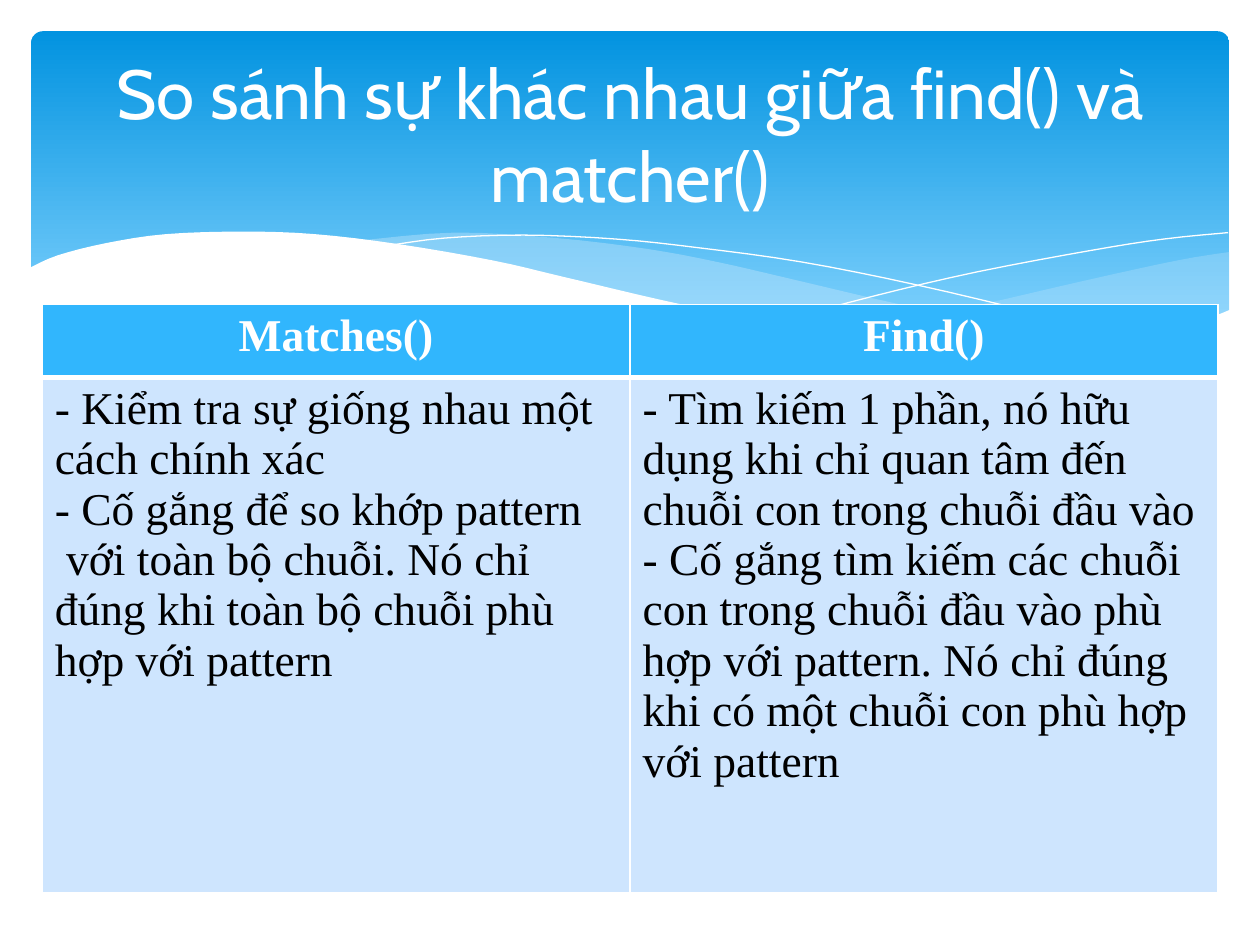
from dataclasses import dataclass

from lxml import etree
from pptx import Presentation
from pptx.dml.color import RGBColor
from pptx.enum.shapes import MSO_SHAPE
from pptx.enum.text import MSO_ANCHOR, MSO_AUTO_SIZE, PP_ALIGN
from pptx.oxml.ns import qn
from pptx.util import Cm, Pt

ROUNDED = MSO_SHAPE.ROUNDED_RECTANGLE
CENTER = PP_ALIGN.CENTER
LEFT = PP_ALIGN.LEFT
MIDDLE = MSO_ANCHOR.MIDDLE
NO_AUTOFIT = MSO_AUTO_SIZE.NONE
TITLE_ONLY = 5


@dataclass(frozen=True)
class Theme:
    title_font: str = "Cabin"
    table_font: str = "Times New Roman"
    title_size: float = 39.6
    table_size: float = 26
    white: str = "FFFFFF"
    black: str = "000000"
    banner_top: str = "0293E0"
    banner_bottom: str = "83D3FE"
    wave: str = "C6E7FC"
    header: str = "31B6FD"
    body: str = "CEE5FE"


@dataclass(frozen=True)
class Box:
    left: float
    top: float
    width: float
    height: float

    def lengths(self):
        return Cm(self.left), Cm(self.top), Cm(self.width), Cm(self.height)


THEME = Theme()

RIGHT_WAVE = [
    [(24.16, 4.45), (23.11, 4.62), (21.23, 5.03), (19.15, 5.51), (17.3, 5.89), (16.15, 6.1)],
    [(16.15, 6.1), (17.27, 6.25), (18.59, 6.38), (20.04, 6.43), (21.29, 6.35),
     (22.35, 6.2), (23.29, 5.94), (24.16, 5.64)],
]
MIDDLE_WAVE = [
    [(22.05, 6.3), (20.62, 6.1), (19.05, 5.82), (17.3, 5.46), (15.34, 5), (13.82, 4.65),
     (12.42, 4.39), (10.59, 4.17), (8.53, 4.06), (6.63, 4.22)],
    [(6.63, 4.22), (8.56, 4.52), (10.77, 5), (12.83, 5.46), (14.63, 5.84), (16.64, 6.17),
     (18.36, 6.38), (19.86, 6.43), (21.13, 6.4), (22.05, 6.3)],
]
FALLING_LINE = [
    [(7.21, 4.32), (8.33, 4.17), (9.93, 4.11), (11.79, 4.19), (13.49, 4.37), (15.52, 4.65),
     (17.83, 5.11), (20.47, 5.74), (22.4, 6.27)],
]
RISING_LINE = [
    [(14.94, 5.89), (17.02, 5.33), (19.08, 4.85), (21.36, 4.42), (22.83, 4.19), (24.13, 4.06)],
]
FRONT_WAVE = [
    [(-0.05, 4.78), (0.53, 4.52), (1.52, 4.27), (2.72, 4.09), (4.27, 4.04), (5.71, 4.09),
     (7.39, 4.29), (9.3, 4.62), (10.72, 4.95), (12.8, 5.44), (14.68, 5.82), (16.84, 6.17),
     (18.69, 6.35), (20.27, 6.4), (21.59, 6.3), (22.73, 6.1), (23.72, 5.79), (24.18, 5.61)],
    [(24.18, 7.72), (-0.05, 7.72)],
]

TITLE = "So sánh sự khác nhau giữa find() và matcher()"
ROWS = [
    [["Matches()"], ["Find()"]],
    [
        [
            "- Kiểm tra sự giống nhau một cách chính xác",
            "- Cố gắng để so khớp pattern",
            " với toàn bộ chuỗi. Nó chỉ đúng khi toàn bộ chuỗi phù hợp với pattern",
        ],
        [
            "- Tìm kiếm 1 phần, nó hữu dụng khi chỉ quan tâm đến chuỗi con trong chuỗi đầu vào",
            "- Cố gắng tìm kiếm các chuỗi con trong chuỗi đầu vào phù hợp với pattern. "
            "Nó chỉ đúng khi có một chuỗi con phù hợp với pattern",
        ],
    ],
]


def color(value):
    return RGBColor.from_string(value)


def smooth(points, steps=4):
    if len(points) < 3:
        return points
    padded = [points[0], *points, points[-1]]
    curve = []
    for a, b, c, d in zip(padded, padded[1:], padded[2:], padded[3:]):
        for t in (step / steps for step in range(steps)):
            curve.append(tuple(
                (2 * q + (r - p) * t + (2 * p - 5 * q + 4 * r - s) * t**2
                 + (3 * q - p - 3 * r + s) * t**3) / 2
                for p, q, r, s in zip(a, b, c, d)
            ))
    return curve + [points[-1]]


def add_curve(slide, box, edges, fill=None, opacity=100):
    points = [
        (Cm(box.left + x), Cm(box.top + y)) for edge in edges for x, y in smooth(edge)
    ]
    builder = slide.shapes.build_freeform(*points[0])
    builder.add_line_segments(points[1:], close=fill is not None)
    shape = builder.convert_to_shape()
    shape.shadow.inherit = False
    if fill is None:
        shape.fill.background()
        shape.line.color.rgb = color(THEME.white)
        shape.line.width = Pt(0)
        return
    shape.line.fill.background()
    shape.fill.solid()
    shape.fill.fore_color.rgb = color(fill)
    if opacity < 100:
        rgb = shape.fill._xPr.find(".//" + qn("a:srgbClr"))
        etree.SubElement(rgb, qn("a:alpha"), val=str(opacity * 1000))


def add_banner(slide, box):
    shape = slide.shapes.add_shape(ROUNDED, *box.lengths())
    shape.adjustments[0] = 0.034
    shape.shadow.inherit = False
    shape.line.fill.background()
    shape.fill.gradient()
    shape.fill.gradient_angle = 270
    stops = [(0, THEME.banner_top), (0.9, THEME.banner_bottom)]
    for stop, (position, value) in zip(shape.fill.gradient_stops, stops):
        stop.position = position
        stop.color.rgb = color(value)
    add_curve(slide, box, RIGHT_WAVE, THEME.wave, 29)
    add_curve(slide, box, MIDDLE_WAVE, THEME.wave, 40)
    add_curve(slide, box, FALLING_LINE)
    add_curve(slide, box, RISING_LINE)
    add_curve(slide, box, FRONT_WAVE, THEME.white)


def write_paragraph(paragraph, text, font, size, value, bold, alignment):
    paragraph.alignment = alignment
    run = paragraph.add_run()
    run.text = text
    run.font.name = font
    run.font.size = Pt(size)
    run.font.bold = bold
    run.font.color.rgb = color(value)


def place_title(slide, box):
    title = slide.shapes.title
    title.left, title.top, title.width, title.height = box.lengths()
    slide.shapes._spTree.append(title._element)
    frame = title.text_frame
    frame.auto_size = NO_AUTOFIT
    frame.vertical_anchor = MIDDLE
    write_paragraph(frame.paragraphs[0], TITLE, THEME.title_font, THEME.title_size,
                    THEME.white, False, CENTER)


def set_borders(cell, widths):
    properties = cell._tc.get_or_add_tcPr()
    for side, width in widths.items():
        line = etree.SubElement(properties, qn("a:ln" + side), w=str(Pt(width)))
        fill = etree.SubElement(line, qn("a:solidFill"))
        etree.SubElement(fill, qn("a:srgbClr"), val=THEME.white)


def add_comparison(slide, box, header_height):
    table = slide.shapes.add_table(len(ROWS), len(ROWS[0]), *box.lengths()).table
    table.rows[0].height = Cm(header_height)
    table.rows[1].height = Cm(box.height - header_height)
    for row, texts in enumerate(ROWS):
        header = row == 0
        for column, lines in enumerate(texts):
            cell = table.cell(row, column)
            set_borders(cell, {"L": 1, "R": 1, "T": 1 if header else 3, "B": 3 if header else 1})
            cell.fill.solid()
            cell.fill.fore_color.rgb = color(THEME.header if header else THEME.body)
            frame = cell.text_frame
            for index, text in enumerate(lines):
                paragraph = frame.add_paragraph() if index else frame.paragraphs[0]
                write_paragraph(paragraph, text, THEME.table_font, THEME.table_size,
                                THEME.white if header else THEME.black, header,
                                CENTER if header else LEFT)


def main():
    presentation = Presentation()
    presentation.slide_width, presentation.slide_height = Cm(25.4), Cm(19.05)
    slide = presentation.slides.add_slide(presentation.slide_layouts[TITLE_ONLY])
    add_banner(slide, Box(0.63, 0.63, 24.15, 6.86))
    place_title(slide, Box(1.27, 0.94, 22.86, 3.48))
    add_comparison(slide, Box(0.85, 6.14, 23.7, 11.86), 1.47)
    presentation.save("out.pptx")


if __name__ == "__main__":
    main()
